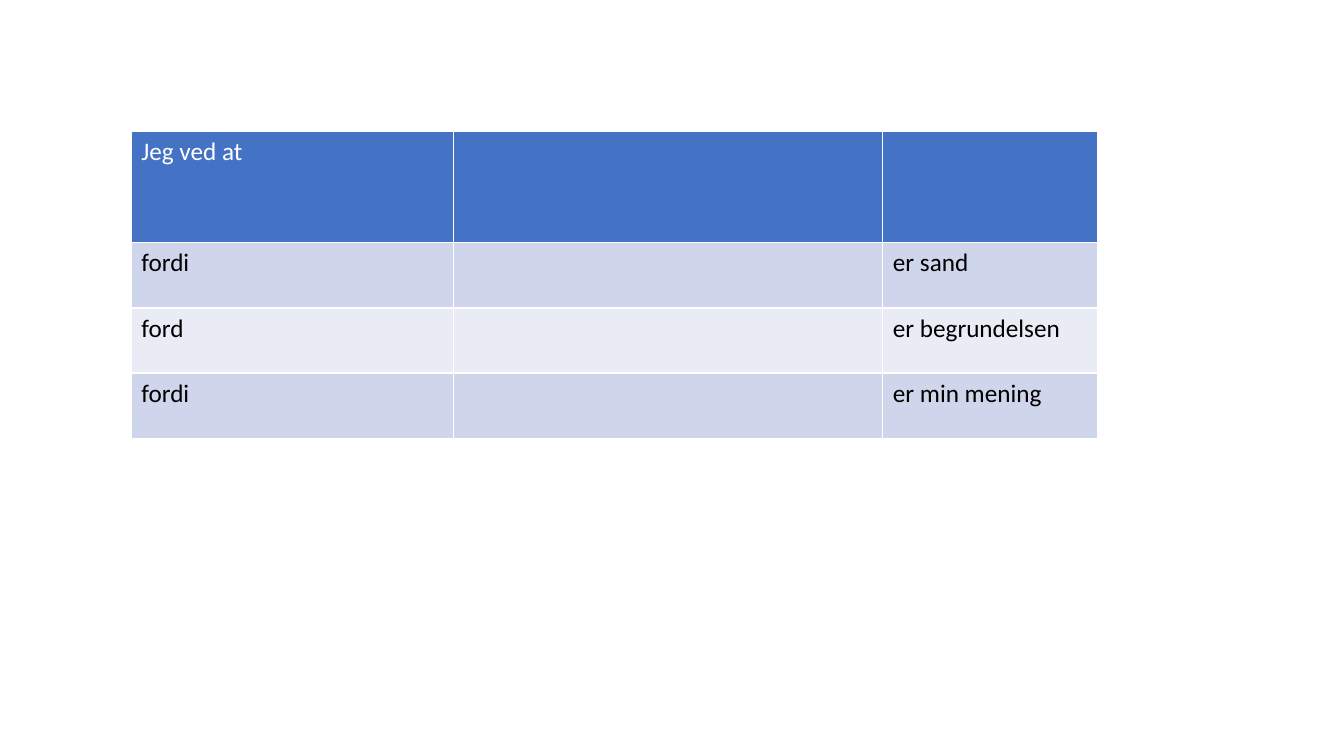
from dataclasses import dataclass

import lxml.etree
import pptx
import pptx.dml.color
import pptx.oxml.ns
import pptx.table
import pptx.util
from pptx.util import Cm

FONT = "Calibri"
WHITE = "FFFFFF"
BLACK = "000000"
HEADER_BLUE = "4472C4"
BAND_DARK = "CFD5EA"
BAND_LIGHT = "E9EBF5"
COLUMN_WIDTHS = (8.12, 10.82, 5.42)


@dataclass(frozen=True)
class ArgumentRow:
    opening: str
    closing: str
    fill: str
    text_color: str = BLACK
    height: float = 1.64


ROWS = (
    ArgumentRow("Jeg ved at", "", HEADER_BLUE, WHITE, 2.82),
    ArgumentRow("fordi", "er sand", BAND_DARK),
    ArgumentRow("ford", "er begrundelsen", BAND_LIGHT),
    ArgumentRow("fordi", "er min mening", BAND_DARK),
)


def color(value: str) -> pptx.dml.color.RGBColor:
    return pptx.dml.color.RGBColor.from_string(value)


def add_borders(cell: pptx.table._Cell, value: str, width: float) -> None:
    properties = cell._tc.get_or_add_tcPr()
    qn = pptx.oxml.ns.qn
    for side in ("a:lnL", "a:lnR", "a:lnT", "a:lnB"):
        line = lxml.etree.SubElement(properties, qn(side), w=str(pptx.util.Pt(width)))
        fill = lxml.etree.SubElement(line, qn("a:solidFill"))
        lxml.etree.SubElement(fill, qn("a:srgbClr"), val=value)


def format_cell(cell: pptx.table._Cell, text: str, row: ArgumentRow) -> None:
    add_borders(cell, WHITE, 1)
    cell.fill.solid()
    cell.fill.fore_color.rgb = color(row.fill)
    cell.text = text
    font = cell.text_frame.paragraphs[0].font
    font.name = FONT
    font.size = pptx.util.Pt(18)
    font.bold = False
    font.color.rgb = color(row.text_color)


def main() -> None:
    presentation = pptx.Presentation()
    presentation.slide_width = Cm(33.87)
    presentation.slide_height = Cm(19.05)
    slide = presentation.slides.add_slide(presentation.slide_layouts[6])

    # Table grid
    table = slide.shapes.add_table(
        len(ROWS), len(COLUMN_WIDTHS), Cm(3.31), Cm(3.3),
        Cm(sum(COLUMN_WIDTHS)), Cm(sum(row.height for row in ROWS)),
    ).table
    for column, width in zip(table.columns, COLUMN_WIDTHS):
        column.width = Cm(width)

    # Sentence openings and closings, with an empty middle column to fill in
    for index, row in enumerate(ROWS):
        table.rows[index].height = Cm(row.height)
        for column_index, text in enumerate((row.opening, "", row.closing)):
            format_cell(table.cell(index, column_index), text, row)

    presentation.save("out.pptx")


if __name__ == "__main__":
    main()
